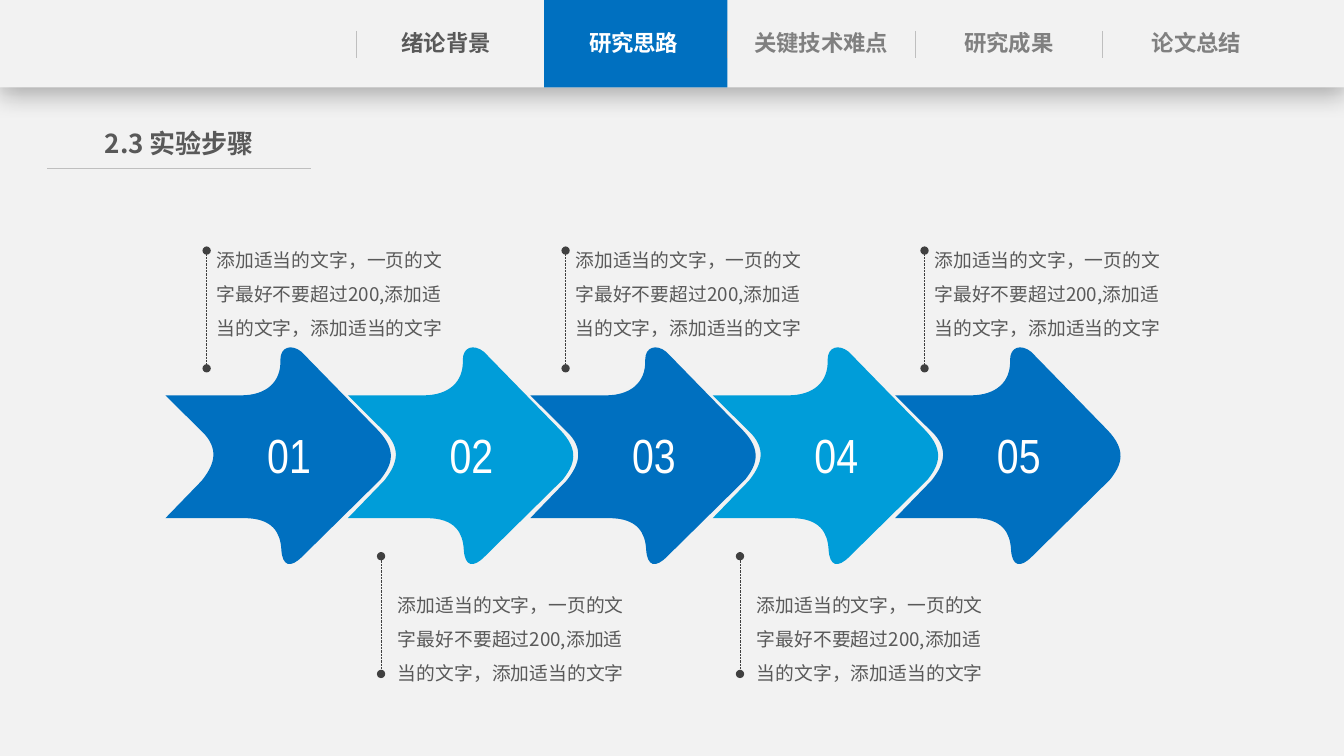
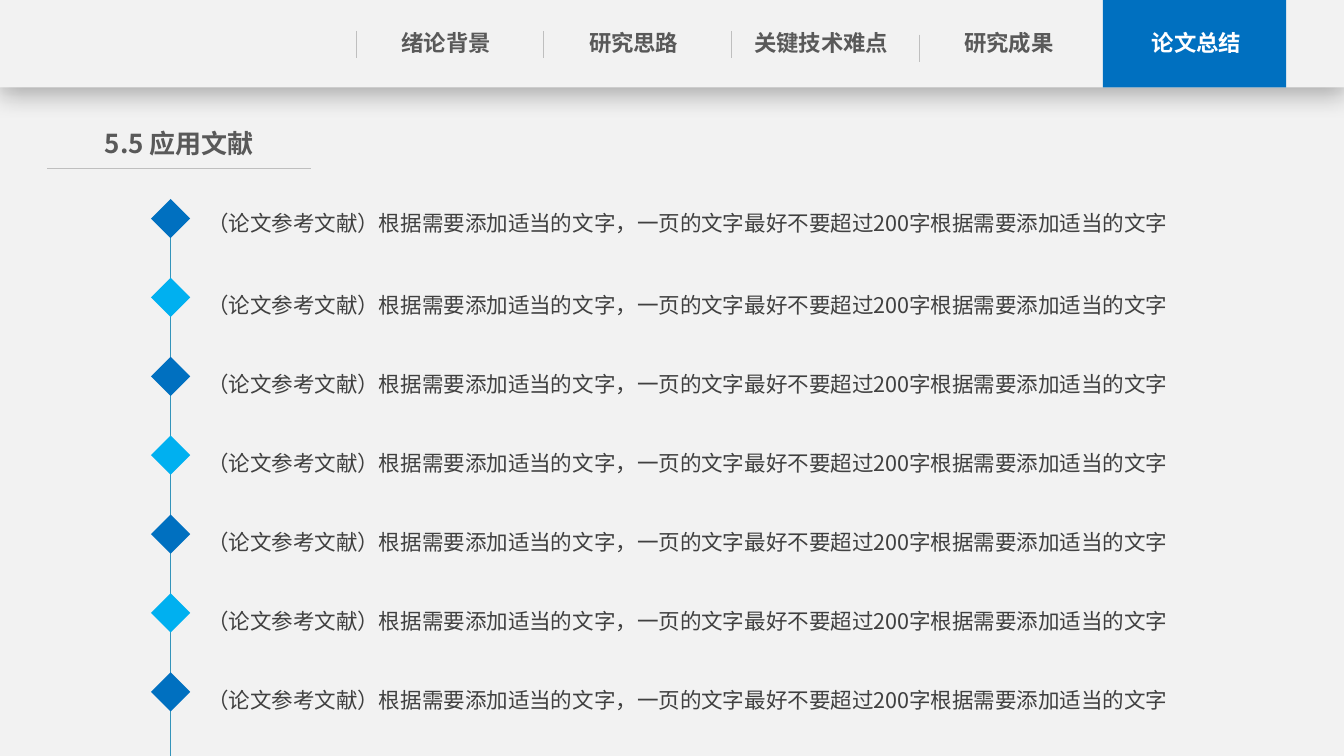
"""Build two thesis slides: experiment steps and references."""
from lxml import etree
from pptx import Presentation
from pptx.dml.color import RGBColor
from pptx.enum.dml import MSO_LINE
from pptx.enum.shapes import MSO_CONNECTOR, MSO_SHAPE
from pptx.enum.text import MSO_ANCHOR, PP_ALIGN
from pptx.oxml.ns import qn
from pptx.util import Pt

RECTANGLE, DIAMOND = MSO_SHAPE.RECTANGLE, MSO_SHAPE.DIAMOND
STRAIGHT, DOTTED = MSO_CONNECTOR.STRAIGHT, MSO_LINE.ROUND_DOT
LEFT, CENTER, TOP = PP_ALIGN.LEFT, PP_ALIGN.CENTER, MSO_ANCHOR.TOP

WIDTH, HEIGHT, BAND_HEIGHT = 960, 540, 62.5
PAPER, BLUE, CYAN, SKY = "F2F2F2", "0070C0", "009DD9", "00B0F0"
TEAL, RULE, WHITE = "3494BA", "BFBFBF", "FFFFFF"
INK, BODY, MUTED = "404040", "595959", "808080"
SANS, NARROW = "Noto Sans CJK SC", "Arial Narrow"

NAV_STYLE = {"size": Pt(16), "bold": True, "name": SANS}
TITLE_STYLE = {"size": Pt(18.6), "bold": True, "name": SANS}
NUMBER_STYLE = {"size": Pt(34.2), "name": NARROW}
CALLOUT_STYLE = {"size": Pt(13.4), "name": SANS}
REFERENCE_STYLE = {"size": Pt(15.4), "name": SANS}
FLUSH, INSET = (0, 3.6, 0, 3.6), (7.2, 3.6, 7.2, 3.6)
REFERENCE_INSET = (0, 9.4, 12.2, 6.5)

SECTIONS = ["绪论背景", "研究思路", "关键技术难点", "研究成果", "论文总结"]
STEPS_PAGE = {
    "title": "2.3 实验步骤",
    "active": 1,
    "tab_left": 388.6,
    "separators": [(254.4, 22), (519.6, 22), (653.8, 22), (787.7, 22)],
}
REFERENCES_PAGE = {
    "title": "5.5 应用文献",
    "active": 4,
    "tab_left": 787.7,
    "separators": [(254.4, 22), (388.4, 22), (522.5, 22), (656.8, 24.8)],
}
STEPS = [("01", 46.4), ("02", 50.5), ("03", 51), ("04", 50.5), ("05", 51.8)]
CALLOUT = "添加适当的文字，一页的文字最好不要超过200,添加适当的文字，添加适当的文字"
CALLOUT_ROWS = [
    {"count": 3, "line_left": 147.6, "text_left": 147.6, "line_top": 179, "text_top": 166.3},
    {"count": 2, "line_left": 272.2, "text_left": 277.2, "line_top": 397.3, "text_top": 412.4},
]
REFERENCES = ["（论文参考文献）根据需要添加适当的文字，一页的文字最好不要超过200字根据需要添加适当的文字"] * 7

ARROW_LEFT, ARROW_TOP, ARROW_PITCH = 118.2, 248.4, 130.3
ARROW_WIDTH, ARROW_HEIGHT = 160.9, 154.8
ARROW_PATH = [
    ("moveTo", [(0, 34)]),
    ("lnTo", [(54, 34)]),
    ("cubicBezTo", [(72, 34), (82.8, 24.5), (82.1, 8.6)]),
    ("cubicBezTo", [(82.1, -0.7), (90, -2.9), (97.2, 2.9)]),
    ("lnTo", [(151.9, 59)]),
    ("cubicBezTo", [(165.6, 73.4), (162, 83.5), (153.4, 94.3)]),
    ("lnTo", [(97.9, 149)]),
    ("cubicBezTo", [(89.3, 157.7), (83.5, 156.2), (82.8, 144)]),
    ("cubicBezTo", [(82.1, 132.5), (77, 121.7), (56.2, 121.7)]),
    ("lnTo", [(0, 121.7)]),
    ("lnTo", [(25.9, 95)]),
    ("cubicBezTo", [(33.8, 85), (38.9, 74.2), (28.1, 61.9)]),
    ("lnTo", [(0, 34)]),
    ("close", []),
]


def color(value):
    """Turn a hex string into a colour."""
    return RGBColor.from_string(value)


def paint(shape, fill):
    """Give a shape a flat fill without outline or shadow."""
    shape.shadow.inherit = False
    shape.fill.solid()
    shape.fill.fore_color.rgb = color(fill)
    shape.line.fill.background()
    return shape


def add_block(page, kind, left, top, width, height, fill):
    """Add a flat preset shape."""
    return paint(page.shapes.add_shape(kind, Pt(left), Pt(top), Pt(width), Pt(height)), fill)


def add_line(page, start, end, stroke, dotted=False):
    """Add a thin line, optionally dotted with oval ends."""
    line = page.shapes.add_connector(STRAIGHT, *(Pt(value) for value in start + end))
    line.line.color.rgb = color(stroke)
    line.line.width = Pt(0.5)
    properties = line._element.spPr
    if dotted:
        line.line.dash_style = DOTTED
        for name in ("a:headEnd", "a:tailEnd"):
            etree.SubElement(properties.find(qn("a:ln")), qn(name), type="oval")
    etree.SubElement(properties, qn("a:effectLst"))


def write(shape, text, style, ink, inset, align=LEFT, spacing=1.0):
    """Write one paragraph into a shape."""
    frame = shape.text_frame
    frame.word_wrap = True
    frame.vertical_anchor = TOP
    for side, margin in zip(("left", "top", "right", "bottom"), inset):
        setattr(frame, f"margin_{side}", Pt(margin))
    para = frame.paragraphs[0]
    para.alignment = align
    para.line_spacing = spacing
    span = para.add_run()
    span.text = text
    for name, value in style.items():
        setattr(span.font, name, value)
    span.font.color.rgb = color(ink)
    etree.SubElement(span._r.get_or_add_rPr(), qn("a:ea"), typeface=style["name"])


def add_text(page, text, place, *look, **layout):
    """Add a one-paragraph text box."""
    box = page.shapes.add_textbox(*(Pt(value) for value in place))
    write(box, text, *look, **layout)


def add_band(page):
    """Add the navigation band with its soft shadow."""
    band = add_block(page, RECTANGLE, 0, 0, WIDTH, BAND_HEIGHT, PAPER)
    effects = band._element.spPr.find(qn("a:effectLst"))
    shadow = etree.SubElement(
        effects, qn("a:outerShdw"), blurRad=str(Pt(18)), dist=str(Pt(4)),
        dir="5400000", algn="t", rotWithShape="0",
    )
    tint = etree.SubElement(shadow, qn("a:srgbClr"), val="000000")
    etree.SubElement(tint, qn("a:alpha"), val="29000")


def add_page(deck, content):
    """Add a slide with navigation and section title."""
    page = deck.slides.add_slide(deck.slide_layouts[6])
    active = content["active"]
    add_band(page)
    add_block(page, RECTANGLE, content["tab_left"], 0, 131, BAND_HEIGHT, BLUE)
    for left, top in content["separators"]:
        add_line(page, (left, top), (left, top + 19.4), RULE)
    for index, section in enumerate(SECTIONS):
        ink = WHITE if index == active else BODY if index < active else MUTED
        place = (265.8 + 134 * index, 17.1, 105.8, 27.4)
        add_text(page, section, place, NAV_STYLE, ink, FLUSH, align=CENTER)
    add_line(page, (33.8, 120.2), (222.2, 120.2), RULE)
    place = (53.6, 87.4, 149, 30.2)
    add_text(page, content["title"], place, TITLE_STYLE, BODY, FLUSH, align=CENTER)
    return page


def add_backdrop(deck, page):
    """Put the shared paper backdrop on the slide master."""
    backdrop = add_block(page, RECTANGLE, 0, 0, WIDTH, HEIGHT, PAPER)
    deck.slide_master.shapes._spTree.insert(2, backdrop._element)


def add_arrow(page, index, number, label_width):
    """Add one curved, numbered arrow of the chain."""
    left, fill = ARROW_LEFT + ARROW_PITCH * index, CYAN if index % 2 else BLUE
    right, bottom = left + ARROW_WIDTH, ARROW_TOP + ARROW_HEIGHT
    builder = page.shapes.build_freeform(Pt(left), Pt(ARROW_TOP))
    corners = [(right, ARROW_TOP), (right, bottom), (left, bottom)]
    builder.add_line_segments([(Pt(x), Pt(y)) for x, y in corners])
    arrow = paint(builder.convert_to_shape(), fill)
    outline = next(arrow._element.iter(qn("a:path")))
    for command in list(outline):
        outline.remove(command)
    for name, points in ARROW_PATH:
        command = etree.SubElement(outline, qn(f"a:{name}"))
        for x, y in points:
            etree.SubElement(command, qn("a:pt"), x=str(Pt(x)), y=str(Pt(y)))
    label = add_block(page, RECTANGLE, left + 65.6, 300.2, label_width, 49, fill)
    write(label, number, NUMBER_STYLE, WHITE, INSET)


def build_steps(deck):
    """Build the arrow chain with its callouts."""
    page = add_page(deck, STEPS_PAGE)
    add_backdrop(deck, page)
    for index, (number, label_width) in reversed(list(enumerate(STEPS))):
        add_arrow(page, index, number, label_width)
    for row in CALLOUT_ROWS:
        for index in range(row["count"]):
            shift = 256.4 * index
            x, top = row["line_left"] + shift, row["line_top"]
            add_line(page, (x, top + 84.1), (x, top), INK, dotted=True)
            place = (row["text_left"] + shift, row["text_top"], 182.2, 80.6)
            add_text(page, CALLOUT, place, CALLOUT_STYLE, BODY, INSET, spacing=1.5)


def build_references(deck):
    """Build the timeline of references."""
    page = add_page(deck, REFERENCES_PAGE)
    add_line(page, (121.9, 145.4), (121.9, HEIGHT), TEAL)
    for index, reference in enumerate(REFERENCES):
        shift = 56.35 * index
        add_block(page, DIAMOND, 107.9, 142.1 + shift, 28, 28, SKY if index % 2 else BLUE)
        top = 133.7 + shift if index else 131
        place = (147.9, top, 715, 44.6)
        add_text(page, reference, place, REFERENCE_STYLE, INK, REFERENCE_INSET, spacing=1.5)


def main():
    """Create and save the deck."""
    deck = Presentation()
    deck.slide_width, deck.slide_height = Pt(WIDTH), Pt(HEIGHT)
    build_steps(deck)
    build_references(deck)
    deck.save("out.pptx")


if __name__ == "__main__":
    main()
